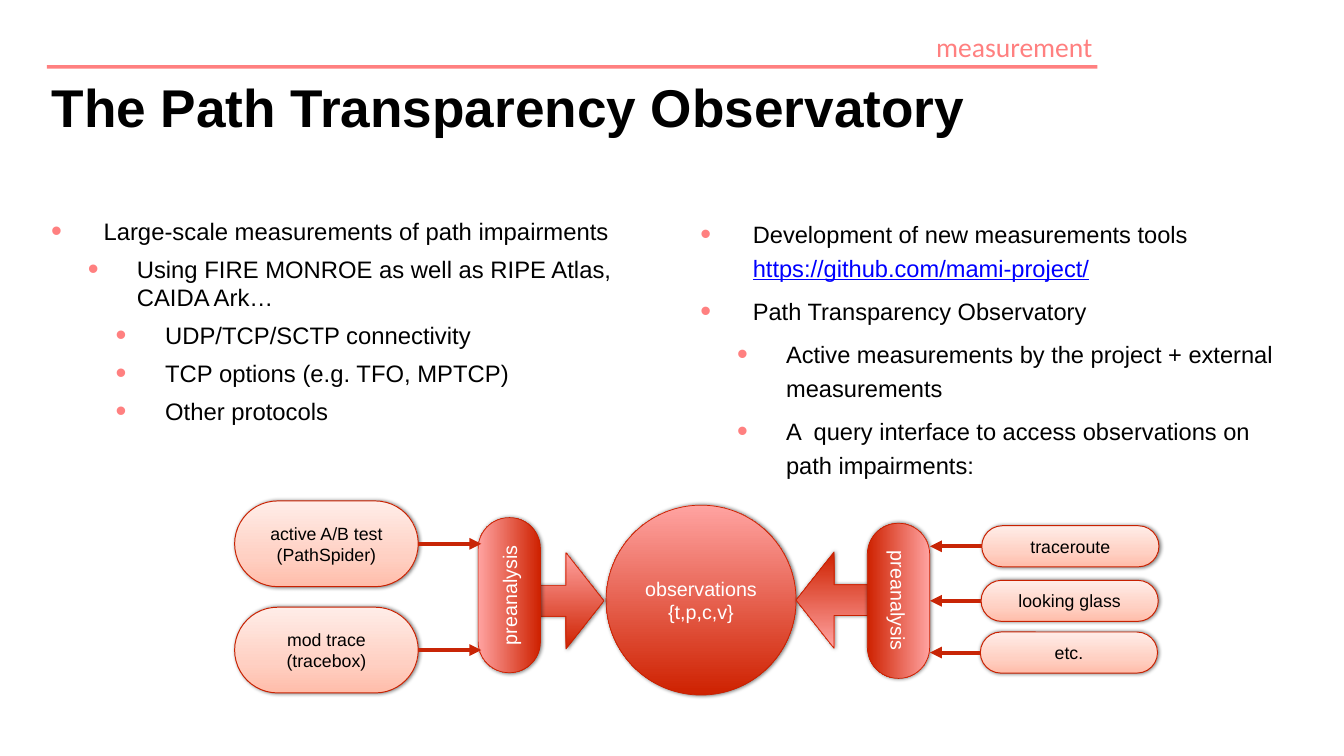
from lxml import etree
from pptx import Presentation
from pptx.dml.color import RGBColor
from pptx.enum.shapes import MSO_CONNECTOR, MSO_SHAPE
from pptx.enum.text import MSO_ANCHOR, MSO_AUTO_SIZE, PP_ALIGN
from pptx.oxml.ns import qn
from pptx.util import Pt

PX = 9144  # EMU per px, 100 px to the inch
RECT, PILL = MSO_SHAPE.RECTANGLE, MSO_SHAPE.ROUNDED_RECTANGLE
OVAL, ARROW = MSO_SHAPE.OVAL, MSO_SHAPE.RIGHT_ARROW
LEFT, MID, RIGHT = PP_ALIGN.LEFT, PP_ALIGN.CENTER, PP_ALIGN.RIGHT
TOP, CENTER = MSO_ANCHOR.TOP, MSO_ANCHOR.MIDDLE

PINK, EDGE, WIRE = "FF8080", "C82101", "C82506"
BLACK, WHITE, BLUE = "000000", "FFFFFF", "0000FF"
PALE = [(0, "FFBDAA"), (35, "FFD0C3"), (100, "FFEDE8")]
DEEP = [(0, "CE2100"), (100, "FFA3A1")]

TITLE = "The Path Transparency Observatory"
SECTION = "measurement"
LINK = "https://github.com/mami-project/"
INDENT = [(74, 74), (121, 69), (161, 70)]  # text margin, hang per level

# Each line: level, then its runs
GOALS = [
    (0, "Large-scale measurements of path impairments"),
    (1, "Using FIRE MONROE as well as RIPE Atlas, CAIDA Ark…"),
    (2, "UDP/TCP/SCTP connectivity"),
    (2, "TCP options (e.g. TFO, MPTCP)"),
    (2, "Other protocols"),
]
TOOLS = [
    (0, "Development of new measurements tools ", LINK),
    (0, "Path Transparency Observatory"),
    (1, "Active measurements by the project + external measurements"),
    (1, "A  query interface to access observations on path impairments:"),
]
# Each source: left, top, lines
ACTIVE = [
    (331, 707, ["active A/B test", "(PathSpider)"]),
    (331, 857, ["mod trace", "(tracebox)"]),
]
OTHER = [
    (1385, 742, ["traceroute"]),
    (1384, 819, ["looking glass"]),
    (1383, 892, ["etc."]),
]
# Each side: sources, source size, exit side, wire tip x
SIDES = [(ACTIVE, (259, 121), 3, 679), (OTHER, (250, 58), 1, 1312)]
# Each stage: box, turn
STAGES = [((609, 796, 219, 88), 270), ((1158, 804, 219, 88), 90)]
ARROWS = [((746, 780, 106, 136), 0), ((1123, 779, 106, 136), 180)]


def px(*nums):
    return [round(n * PX) for n in nums]


def rgb(code):
    return RGBColor.from_string(code)


def sub(node, tag, **attrs):
    return etree.SubElement(node, qn(tag), attrs)


def mark(para, level):
    """Give a paragraph its hanging bullet."""
    margin, hang = px(*INDENT[level])
    props = para._p.get_or_add_pPr()
    props.set("lvl", str(level))
    props.set("marL", str(margin))
    props.set("indent", str(-hang))
    sub(sub(props, "a:buClr"), "a:srgbClr", val=PINK)
    sub(props, "a:buSzPct", val="130000")
    sub(props, "a:buFont", typeface="Arial")
    sub(props, "a:buChar", char="•")


def write(shape, lines, size=18, color=BLACK, font="Arial", bold=False,
          align=MID, anchor=CENTER, inset=6, wrap=True, space=None):
    """Fill a shape; a tuple line is a bullet, a string line is plain."""
    frame = shape.text_frame
    frame.auto_size = MSO_AUTO_SIZE.NONE
    frame.word_wrap, frame.vertical_anchor = wrap, anchor
    frame.margin_left = frame.margin_right = inset * PX
    frame.margin_top = frame.margin_bottom = inset * PX
    for i, line in enumerate(lines):
        para = frame.add_paragraph() if i else frame.paragraphs[0]
        runs = [line]
        if isinstance(line, tuple):
            level, *runs = line
            mark(para, level)
            para.space_before = Pt(9.3 if i else 0)
        para.alignment = align
        if space:
            para.line_spacing = space
        for words in runs:
            run = para.add_run()
            run.text = words
            face = run.font
            face.name, face.size, face.bold = font, Pt(size), bold
            face.color.rgb = rgb(BLUE if words == LINK else color)
            face.underline = words == LINK


def glossy(slide, kind, box, stops, width=0.75, turn=0):
    """Add a shape with an upward gradient and a soft shadow."""
    shape = slide.shapes.add_shape(kind, *px(*box))
    shape.rotation = turn
    shape.fill.gradient()
    shape.fill.gradient_angle = 90
    props = shape._element.spPr
    ramp = props.find(".//" + qn("a:gsLst"))
    for old in list(ramp):
        ramp.remove(old)
    for pos, code in stops:
        sub(sub(ramp, "a:gs", pos=str(pos * 1000)), "a:srgbClr", val=code)
    shape.line.color.rgb = rgb(EDGE)
    shape.line.width = Pt(width)
    shape.shadow.inherit = False
    cast = sub(props.find(qn("a:effectLst")), "a:outerShdw", blurRad="50800",
               dist="12700", dir="0", rotWithShape="0")
    sub(sub(cast, "a:srgbClr", val=BLACK), "a:alpha", val="50000")
    if kind == PILL:
        shape.adjustments[0] = 0.5
    return shape


def wire(slide, shape, side, tip):
    """Draw a level arrow from a side of a shape to x = tip."""
    y = shape.top + shape.height // 2
    line = slide.shapes.add_connector(
        MSO_CONNECTOR.STRAIGHT, shape.left, y, tip * PX, y)
    line.begin_connect(shape, side)
    line.line.color.rgb = rgb(WIRE)
    line.line.width = Pt(4)
    sub(line.line._get_or_add_ln(), "a:tailEnd", type="triangle")
    sub(line._element.spPr, "a:effectLst")


def header(slide):
    rule = slide.shapes.add_shape(RECT, *px(66, 92, 1482, 5))
    rule.shadow.inherit = False
    rule.fill.solid()
    rule.fill.fore_color.rgb = rgb(PINK)
    rule.line.fill.background()
    label = slide.shapes.add_textbox(*px(1301, 35, 247, 62))
    write(label, [SECTION], size=28, color=PINK, font="Calibri",
          align=RIGHT, inset=7, wrap=False)
    title = slide.shapes.title
    title.left, title.top, title.width, title.height = px(67, 99, 1444, 151)
    write(title, [TITLE], size=54, bold=True, align=LEFT, anchor=TOP)


def columns(slide):
    for x, y, lines, size, space in [(67, 301, GOALS, 24.2, None),
                                     (983, 297, TOOLS, 24, 1.2)]:
        box = slide.shapes.add_textbox(*px(x, y, 835, 363))
        write(box, lines, size=size, align=LEFT, anchor=TOP, inset=5,
              space=space)


def diagram(slide):
    hub = glossy(slide, OVAL, (855, 713, 268, 268), DEEP)
    write(hub, ["observations", "{t,p,c,v}"], size=20, color=WHITE)
    for box, turn in ARROWS:
        arrow = glossy(slide, ARROW, box, DEEP, turn=turn)
        arrow.adjustments[0], arrow.adjustments[1] = 0.32, 0.505
    for box, turn in STAGES:
        stage = glossy(slide, PILL, box, DEEP, turn=turn)
        write(stage, ["preanalysis"], size=20, color=WHITE)
    for sources, size, side, tip in SIDES:
        for x, y, lines in sources:
            pill = glossy(slide, PILL, (x, y, *size), PALE, width=1)
            write(pill, lines)
            wire(slide, pill, side, tip)


def main():
    deck = Presentation()
    deck.slide_width, deck.slide_height = px(1896, 1067)
    slide = deck.slides.add_slide(deck.slide_layouts[5])
    header(slide)
    columns(slide)
    diagram(slide)
    deck.save("out.pptx")


if __name__ == "__main__":
    main()
